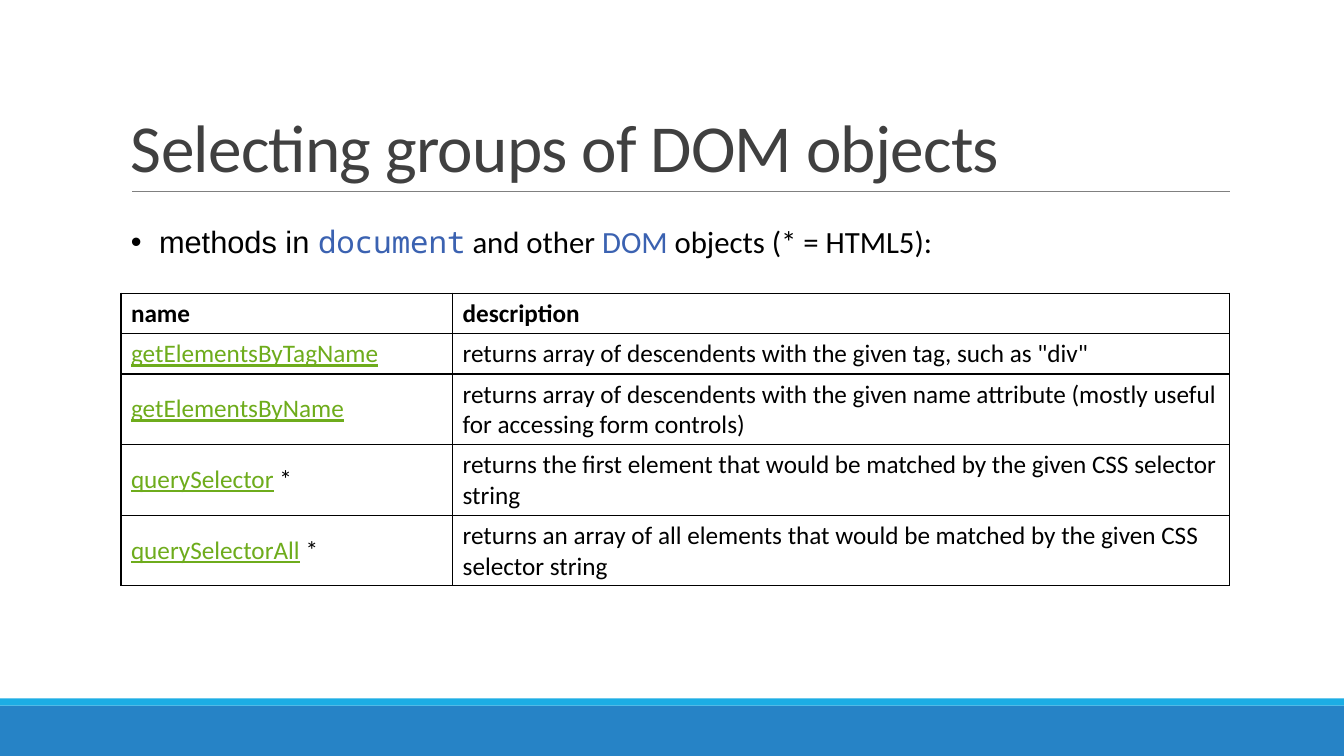
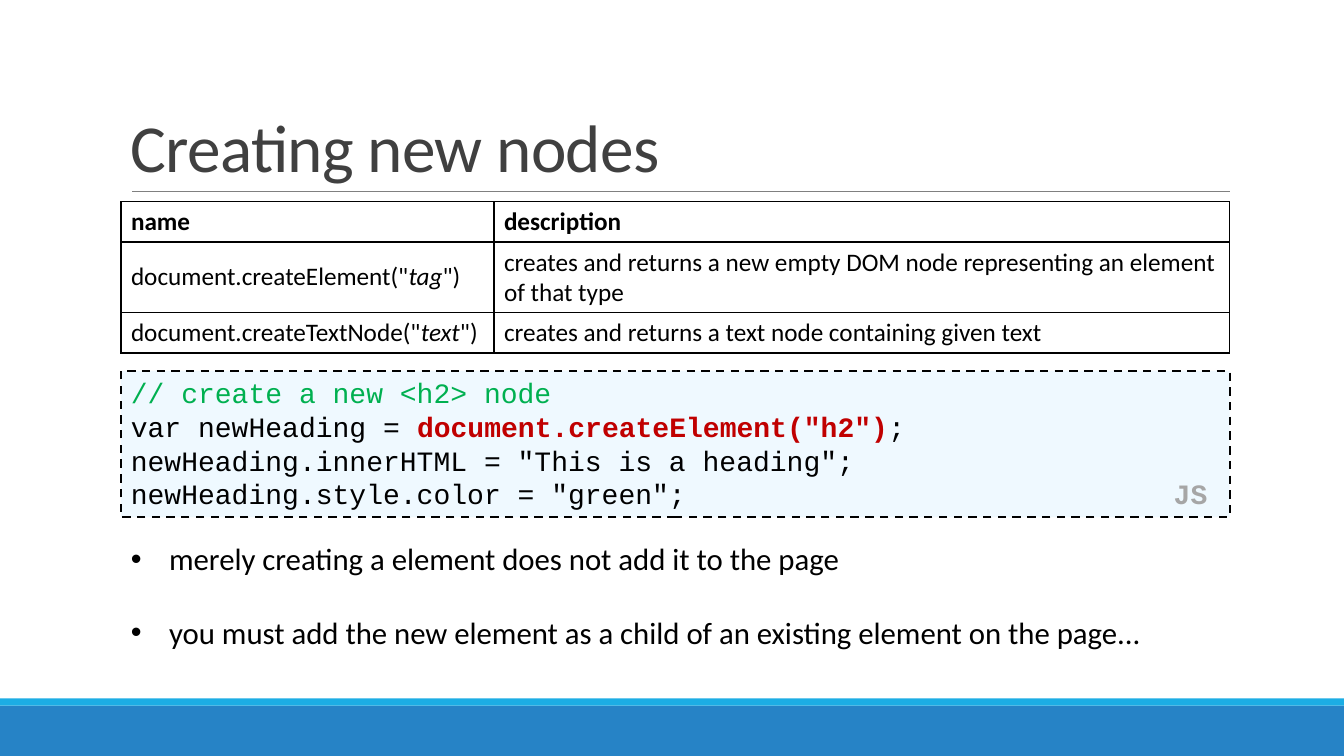
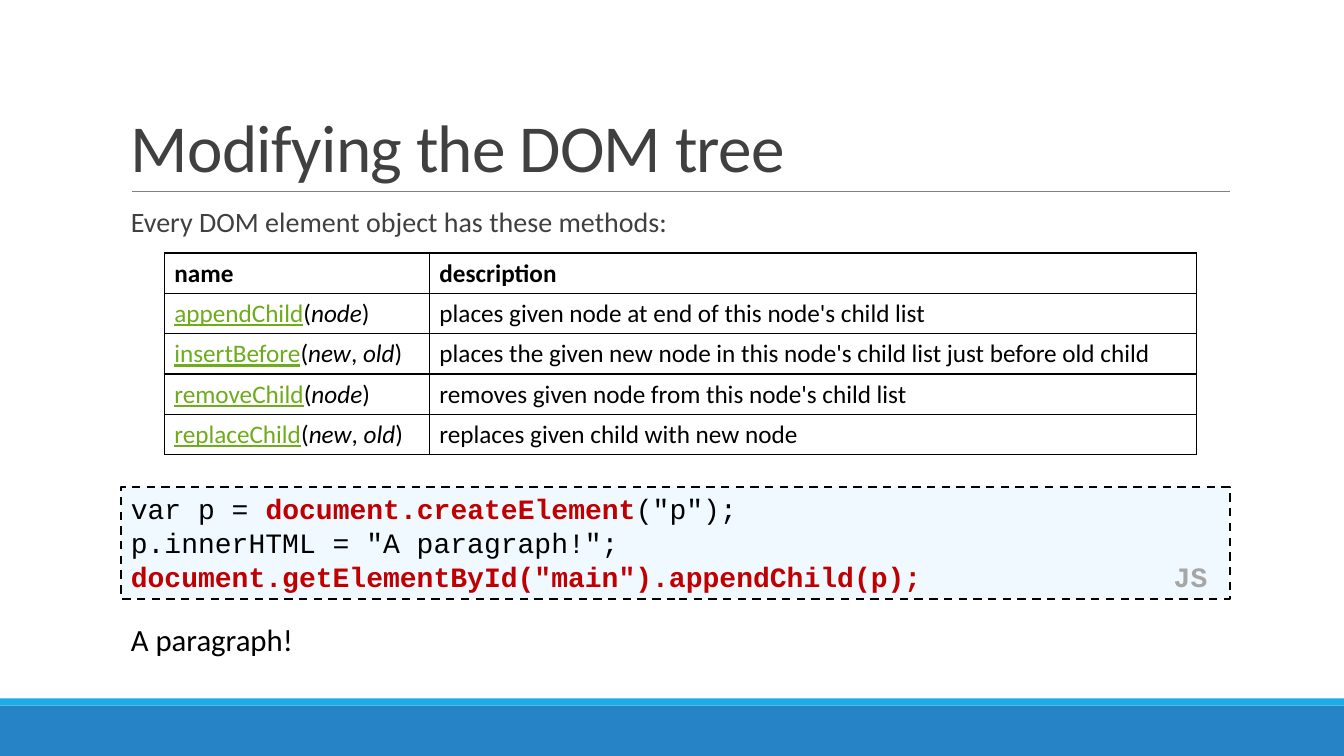
from collections import namedtuple

from lxml import etree
from pptx import Presentation
from pptx import util as u
from pptx.dml.color import RGBColor
from pptx.enum import dml, shapes, text
from pptx.oxml import ns

# Grid: one column or row is a tenth of an inch
GRID = u.Inches(0.1)
SLIDE_COLUMNS, SLIDE_ROWS = 133.33, 75
Box = namedtuple("Box", "left top width height")

# Shared regions
LEFT, WIDTH = 12, 110
TITLE_BOX = Box(LEFT, 3.1, WIDTH, 15.9)
BAND_BOX = Box(0, 69.3, SLIDE_COLUMNS, 5.7)
STRIPE_ROWS = 0.7

# Colours
WHITE = RGBColor(0xFF, 0xFF, 0xFF)
BLACK = RGBColor(0x00, 0x00, 0x00)
DARK_GREY = RGBColor(0x40, 0x40, 0x40)
RULE_GREY = RGBColor(0x80, 0x80, 0x80)
LABEL_GREY = RGBColor(0xA6, 0xA6, 0xA6)
BAND_BLUE = RGBColor(0x26, 0x83, 0xC6)
STRIPE_BLUE = RGBColor(0x1C, 0xAD, 0xE4)
TERM_BLUE = RGBColor(0x3B, 0x62, 0xB1)
CODE_FILL = RGBColor(0xEF, 0xF9, 0xFF)
COMMENT_GREEN = RGBColor(0x00, 0xB0, 0x50)
LINK_GREEN = RGBColor(0x6E, 0xAC, 0x1C)
KEY_RED = RGBColor(0xC0, 0x00, 0x00)

BODY_FONT, CODE_FONT = "Calibri", "Courier New"
TITLE_SIZE, BODY_SIZE, LEAD_SIZE, CODE_SIZE, TABLE_SIZE = 48, 22, 20, 20, 18

# Run styles: what differs from the plain text of a region
STYLES = {
    "plain": {},
    "bold": {"bold": True},
    "italic": {"italic": True},
    "arial": {"name": "Arial"},
    "term": {"color": TERM_BLUE},
    "mono": {"name": "Noto Sans Mono", "color": TERM_BLUE},
    "link": {"color": LINK_GREEN, "underline": True},
    "comment": {"color": COMMENT_GREEN},
    "key": {"color": KEY_RED, "bold": True},
    "label": {"color": LABEL_GREY, "bold": True},
}


def place(box):
    return [round(length * GRID) for length in box]


# ---- Text ----
def write(paragraph, parts, size, font=BODY_FONT, color=BLACK):
    """Fill a paragraph from a string or from (text, style) pairs."""
    if isinstance(parts, str):
        parts = [(parts, "plain")]
    for words, style_name in parts:
        style = STYLES[style_name]
        run = paragraph.add_run()
        run.text = words
        run.font.size = u.Pt(size)
        run.font.name = style.get("name", font)
        run.font.color.rgb = style.get("color", color)
        run.font.bold = style.get("bold", False)
        run.font.italic = style.get("italic", False)
        run.font.underline = style.get("underline", False)


def write_lines(frame, lines, size, **look):
    for index, parts in enumerate(lines):
        paragraph = frame.paragraphs[0] if index == 0 else frame.add_paragraph()
        write(paragraph, parts, size, **look)


def add_text(slide, box, lines, size, anchor=text.MSO_ANCHOR.TOP, **look):
    frame = slide.shapes.add_textbox(*place(box)).text_frame
    frame.word_wrap = True
    frame.vertical_anchor = anchor
    write_lines(frame, lines, size, **look)
    return frame


def add_bullets(slide, box, lines, indent, gap=0, anchor=text.MSO_ANCHOR.TOP):
    frame = add_text(slide, box, lines, BODY_SIZE, anchor)
    for index, paragraph in enumerate(frame.paragraphs):
        if index:
            paragraph.space_before = u.Pt(gap)
        properties = paragraph._p.get_or_add_pPr()
        properties.set("marL", str(round(indent * GRID)))
        properties.set("indent", str(-round(indent * GRID)))
        etree.SubElement(properties, ns.qn("a:buFont"), typeface="Arial")
        etree.SubElement(properties, ns.qn("a:buChar"), char="•")


# ---- Shapes ----
def add_rectangle(slide, box, fill):
    shape = slide.shapes.add_shape(shapes.MSO_SHAPE.RECTANGLE, *place(box))
    shape.shadow.inherit = False
    shape.fill.solid()
    shape.fill.fore_color.rgb = fill
    shape.line.fill.background()
    return shape


def add_code_box(slide, box, lines):
    """Dashed code panel; its last line ends with the language label."""
    shape = add_rectangle(slide, box, CODE_FILL)
    shape.line.color.rgb = BLACK
    shape.line.width = u.Pt(1.5)
    shape.line.dash_style = dml.MSO_LINE.DASH
    frame = shape.text_frame
    frame.word_wrap = True
    frame.vertical_anchor = text.MSO_ANCHOR.TOP
    write_lines(frame, lines[:-1] + [lines[-1] + [("\t", "plain"), ("JS", "label")]],
                CODE_SIZE, font=CODE_FONT)
    for paragraph in frame.paragraphs:
        paragraph.alignment = text.PP_ALIGN.LEFT
    # Right tab near the panel's edge for the label
    tabs = etree.SubElement(frame.paragraphs[-1]._p.get_or_add_pPr(), ns.qn("a:tabLst"))
    etree.SubElement(tabs, ns.qn("a:tab"), algn="r",
                     pos=str(round((box.width - 3.2) * GRID)))


# ---- Tables ----
def add_borders(cell):
    properties = cell._tc.get_or_add_tcPr()
    for index, side in enumerate(("lnL", "lnR", "lnT", "lnB")):
        line = etree.Element(ns.qn("a:" + side), w=str(u.Pt(1)))
        fill = etree.SubElement(line, ns.qn("a:solidFill"))
        etree.SubElement(fill, ns.qn("a:srgbClr"), val=str(BLACK))
        properties.insert(index, line)


def add_method_table(slide, left, top, width, name_width, methods, row_lines):
    """Name and description table; row_lines gives each method's line count."""
    rows = [([("name", "bold")], [("description", "bold")])] + methods
    heights = [4 + 3 * (count - 1) for count in [1] + row_lines]
    box = Box(left, top, width, sum(heights))
    table = slide.shapes.add_table(len(rows), 2, *place(box)).table
    table.first_row = table.horz_banding = False
    for column, length in zip(table.columns, place((name_width, width - name_width))):
        column.width = length
    for row, height, contents in zip(table.rows, place(heights), rows):
        row.height = height
        for cell, parts in zip(row.cells, contents):
            cell.vertical_anchor = text.MSO_ANCHOR.MIDDLE
            cell.fill.solid()
            cell.fill.fore_color.rgb = WHITE
            add_borders(cell)
            write(cell.text_frame.paragraphs[0], parts, TABLE_SIZE)


def method(name, *arguments):
    """Linked method name, followed by its italic arguments in brackets."""
    parts = [(name, "link")]
    for index, argument in enumerate(arguments):
        parts += [(", " if index else "(", "plain"), (argument, "italic")]
    return parts + [(")", "plain")] if arguments else parts


def factory(name, argument):
    return [(f'document.{name}("', "plain"), (argument, "italic"), ('")', "plain")]


# ---- Slides ----
def add_base_slide(presentation, title):
    """Blank slide with the footer bands, title and title rule."""
    slide = presentation.slides.add_slide(presentation.slide_layouts[6])
    add_rectangle(slide, BAND_BOX._replace(top=BAND_BOX.top + STRIPE_ROWS,
                                           height=BAND_BOX.height - STRIPE_ROWS), BAND_BLUE)
    add_rectangle(slide, BAND_BOX._replace(height=STRIPE_ROWS), STRIPE_BLUE)

    rule_top = TITLE_BOX.top + TITLE_BOX.height
    ends = place((LEFT + 1.1, rule_top, LEFT + WIDTH, rule_top))
    rule = slide.shapes.add_connector(shapes.MSO_CONNECTOR.STRAIGHT, *ends)
    rule.line.color.rgb = RULE_GREY
    rule.line.width = u.Pt(0.5)
    etree.SubElement(rule._element.spPr, ns.qn("a:effectLst"))

    frame = add_text(slide, TITLE_BOX, [title], TITLE_SIZE,
                     text.MSO_ANCHOR.BOTTOM, color=DARK_GREY)
    paragraph = frame.paragraphs[0]
    paragraph.line_spacing = 0.85
    paragraph.runs[0]._r.get_or_add_rPr().set("spc", "-50")
    return slide


def add_selecting_slide(presentation):
    slide = add_base_slide(presentation, "Selecting groups of DOM objects")
    lead = [("methods in ", "arial"), ("document", "mono"), (" and other ", "plain"),
            ("DOM", "term"), (" objects (* = HTML5):", "plain")]
    add_bullets(slide, Box(LEFT, 21.6, WIDTH, 4.7), [lead], 2.8,
                anchor=text.MSO_ANCHOR.MIDDLE)
    starred = [(" *", "plain")]
    methods = [
        (method("getElementsByTagName"),
         'returns array of descendents with the given tag, such as "div"'),
        (method("getElementsByName"),
         "returns array of descendents with the given name attribute "
         "(mostly useful for accessing form controls)"),
        (method("querySelector") + starred,
         "returns the first element that would be matched by the given CSS selector string"),
        (method("querySelectorAll") + starred,
         "returns an array of all elements that would be matched by the given "
         "CSS selector string"),
    ]
    add_method_table(slide, LEFT, 29.1, WIDTH, 32.9, methods, [1, 2, 2, 2])


def add_creating_slide(presentation):
    slide = add_base_slide(presentation, "Creating new nodes")
    methods = [
        (factory("createElement", "tag"),
         "creates and returns a new empty DOM node representing an element of that type"),
        (factory("createTextNode", "text"),
         "creates and returns a text node containing given text"),
    ]
    add_method_table(slide, LEFT, 20, WIDTH, 37, methods, [2, 1])
    add_code_box(slide, Box(LEFT, 36.8, WIDTH, 14.5), [
        [("// create a new <h2> node", "comment")],
        [("var newHeading = ", "plain"), ('document.createElement("h2")', "key"),
         (";", "plain")],
        'newHeading.innerHTML = "This is a heading";',
        [('newHeading.style.color = "green";', "plain")],
    ])
    add_bullets(slide, Box(LEFT, 53.1, WIDTH, 12.1), [
        "merely creating a element does not add it to the page",
        "you must add the new element as a child of an existing element on the page...",
    ], 3.8, gap=26)


def add_modifying_slide(presentation):
    slide = add_base_slide(presentation, "Modifying the DOM tree")
    lead = add_text(slide, Box(LEFT, 20.2, WIDTH, 5),
                    ["Every DOM element object has these methods:"],
                    LEAD_SIZE, color=DARK_GREY)
    lead.paragraphs[0].line_spacing = 0.9
    methods = [
        (method("appendChild", "node"),
         "places given node at end of this node's child list"),
        (method("insertBefore", "new", "old"),
         "places the given new node in this node's child list just before old child"),
        (method("removeChild", "node"),
         "removes given node from this node's child list"),
        (method("replaceChild", "new", "old"),
         "replaces given child with new node"),
    ]
    add_method_table(slide, 16.3, 25.1, 102.4, 26.3, methods, [1, 1, 1, 1])
    add_code_box(slide, Box(LEFT, 48.3, WIDTH, 11.1), [
        [("var p = ", "plain"), ("document.createElement", "key"), ('("p");', "plain")],
        'p.innerHTML = "A paragraph!";',
        [('document.getElementById("main").appendChild(p);', "key")],
    ])
    add_text(slide, Box(LEFT, 61.1, 18.2, 4.7), ["A paragraph!"], BODY_SIZE)


def main():
    presentation = Presentation()
    presentation.slide_width, presentation.slide_height = place((SLIDE_COLUMNS, SLIDE_ROWS))
    add_selecting_slide(presentation)
    add_creating_slide(presentation)
    add_modifying_slide(presentation)
    presentation.save("out.pptx")


if __name__ == "__main__":
    main()
